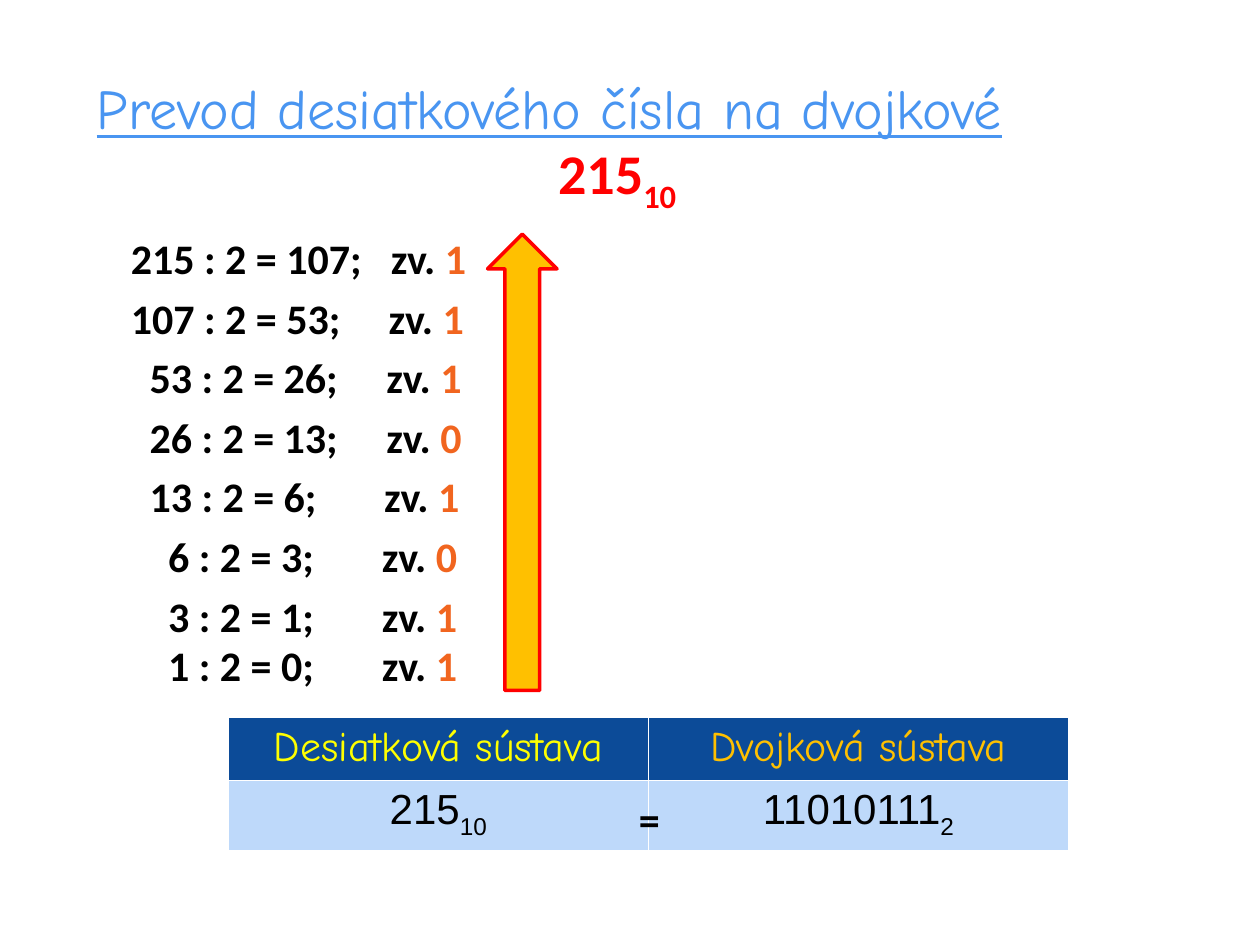
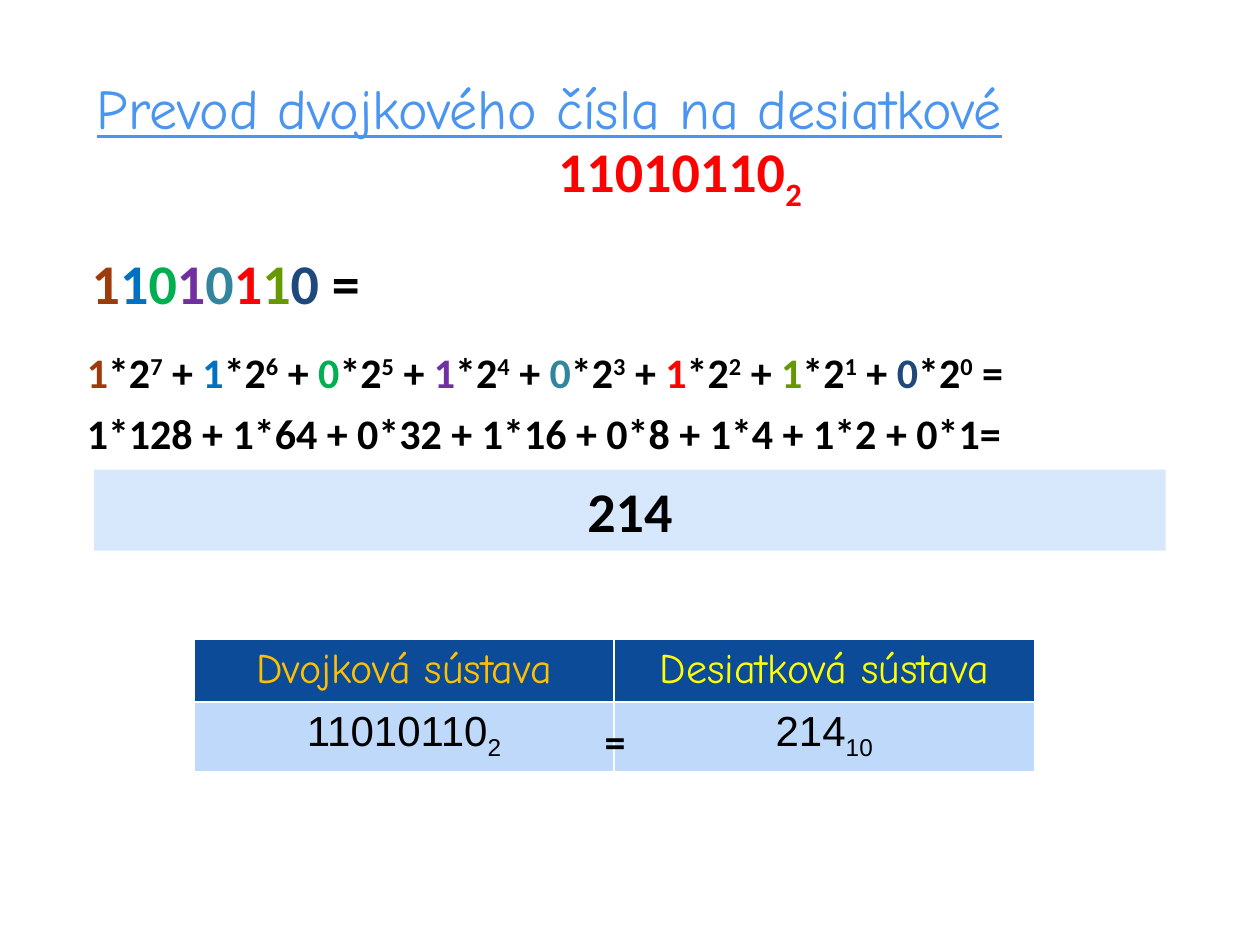
from dataclasses import dataclass

from lxml import etree
from pptx import Presentation
from pptx.dml.color import RGBColor
from pptx.enum.shapes import MSO_SHAPE
from pptx.enum.text import MSO_ANCHOR, MSO_AUTO_SIZE, PP_ALIGN
from pptx.oxml.ns import qn
from pptx.util import Cm, Pt

UP_ARROW, RECTANGLE = MSO_SHAPE.UP_ARROW, MSO_SHAPE.RECTANGLE
LEFT, CENTER = PP_ALIGN.LEFT, PP_ALIGN.CENTER
MIDDLE, GROW = MSO_ANCHOR.MIDDLE, MSO_AUTO_SIZE.SHAPE_TO_FIT_TEXT
SUB, SUPER = -25000, 30000


@dataclass(frozen=True)
class Theme:
    title_font: str = "Comic Neue"
    body_font: str = "Calibri"
    value_font: str = "Arial"
    large: int = 32
    normal: int = 24
    title: str = "4995F1"
    text: str = "000000"
    number: str = "FF0000"
    remainder: str = "F1651F"
    arrow: str = "FFC000"
    result: str = "D8E8FC"
    header: str = "0C4B98"
    cell: str = "BED9FA"
    border: str = "FFFFFF"
    decimal: str = "FFFF00"
    binary: str = "FFC000"
    bits: tuple = ("9D3B0A", "0070C0", "00B050", "7030A0",
                   "31859C", "FF0000", "669900", "1F497D")


T = Theme()
TITLE_BOX = (1.7, 1.35, 22, 1.63)
DECIMAL_HEAD = ("Desiatková sústava", T.decimal)
BINARY_HEAD = ("Dvojková sústava", T.binary)


def rgb(value):
    return RGBColor.from_string(value)


def add_run(p, text, size=T.normal, color=T.text, font=T.body_font, bold=True, base=0):
    r = p.add_run()
    r.text = text
    r.font.size = Pt(size)
    r.font.name = font
    r.font.bold = bold
    r.font.color.rgb = rgb(color)
    if base:
        r._r.get_or_add_rPr().set("baseline", str(base))
    return r


def add_text(slide, box, align=LEFT):
    tf = slide.shapes.add_textbox(*map(Cm, box)).text_frame
    tf.word_wrap = True
    tf.auto_size = GROW
    p = tf.paragraphs[0]
    p.alignment = align
    return p


def add_filled(slide, kind, box, color):
    sp = slide.shapes.add_shape(kind, *map(Cm, box))
    sp.shadow.inherit = False
    sp.fill.solid()
    sp.fill.fore_color.rgb = rgb(color)
    sp.line.fill.background()
    return sp


def add_tabs(p, stops):
    tab_list = etree.SubElement(p._p.get_or_add_pPr(), qn("a:tabLst"))
    for stop in stops:
        etree.SubElement(tab_list, qn("a:tab"), pos=str(Cm(stop)), algn="l")


def add_heading(slide, title, number_box, digits, base):
    r = add_run(add_text(slide, TITLE_BOX), title, T.large, T.title, T.title_font, False)
    r.font.underline = True
    p = add_text(slide, number_box)
    add_run(p, digits, T.large, T.number)
    add_run(p, base, T.large, T.number, base=SUB)


def add_borders(cell):
    tc_pr = cell._tc.get_or_add_tcPr()
    for index, side in enumerate(("a:lnL", "a:lnR", "a:lnT", "a:lnB")):
        ln = etree.Element(qn(side), w=str(Pt(1)))
        fill = etree.SubElement(ln, qn("a:solidFill"))
        etree.SubElement(fill, qn("a:srgbClr"), val=T.border)
        tc_pr.insert(index, ln)


def add_comparison(slide, box, heads, values):
    x, y, w, h = box
    table = slide.shapes.add_table(2, 2, *map(Cm, box)).table
    for col, ((head, color), (digits, base)) in enumerate(zip(heads, values)):
        table.columns[col].width = Cm(w / 2)
        for row, fill in enumerate((T.header, T.cell)):
            table.rows[row].height = Cm(h / 2)
            cell = table.cell(row, col)
            cell.fill.solid()
            cell.fill.fore_color.rgb = rgb(fill)
            add_borders(cell)
            p = cell.text_frame.paragraphs[0]
            p.alignment = CENTER
            if row == 0:
                add_run(p, head, color=color, font=T.title_font, bold=False)
            else:
                add_run(p, digits, font=T.value_font, bold=False)
                add_run(p, base, font=T.value_font, bold=False, base=SUB)
    add_run(add_text(slide, (x + w / 2 - 0.88, y + 1.41, 1.8, 1.27), CENTER), "=")


def add_divisions(slide, box, number):
    x, y, w, h = box
    step = 0
    while number:
        quotient, remainder = divmod(number, 2)
        indent = 0.375 * (3 - len(str(number)))
        missing = 6 - len(str(number)) - len(str(quotient))
        lift = 0 if quotient else 0.2
        p = add_text(slide, (x, y + 1.2 * step - lift, w, h))
        add_tabs(p, ([indent] if indent else []) + [5.24 - 0.045 * missing])
        lead = "\t" if indent else ""
        add_run(p, f"{lead}{number} : 2 = {quotient};\tzv. ")
        add_run(p, str(remainder), color=T.remainder)
        number = quotient
        step += 1


def add_expansion(slide, box, digits):
    x, y, w, h = box
    p = add_text(slide, (x + 0.1, y, 9.2, 1.63))
    for digit, color in zip(digits, T.bits):
        add_run(p, digit, T.large, color)
    add_run(p, " =", T.large)

    powers = range(len(digits) - 1, -1, -1)
    p = add_text(slide, (x, y + 1.98, w, h))
    for digit, color, power in zip(digits, T.bits, powers):
        add_run(p, digit, color=color)
        add_run(p, "*2")
        add_run(p, str(power), base=SUPER)
        add_run(p, " + " if power else " =")

    products = " + ".join(f"{d}*{2 ** n}" for d, n in zip(digits, powers))
    add_run(add_text(slide, (x, y + 3.22, w, h)), products + "=")


def add_result(slide, box, value):
    tf = add_filled(slide, RECTANGLE, box, T.result).text_frame
    tf.vertical_anchor = MIDDLE
    p = tf.paragraphs[0]
    p.alignment = CENTER
    add_run(p, value, T.large)


def decimal_to_binary(slide, number):
    value = str(number)
    add_heading(slide, "Prevod desiatkového čísla na dvojkové",
                (11, 2.67, 4.04, 1.63), value, "10")
    add_divisions(slide, (2.39, 4.57, 19, 1.27), number)
    add_comparison(slide, (4.6, 14.46, 16.94, 2.08), (DECIMAL_HEAD, BINARY_HEAD),
                   ((value, "10"), (f"{number:b}", "2")))
    arrow = add_filled(slide, UP_ARROW, (9.83, 4.72, 1.4, 9.2), T.arrow)
    arrow.line.color.rgb = rgb(T.number)
    arrow.line.width = Pt(2)


def binary_to_decimal(slide, digits):
    value = str(int(digits, 2))
    add_heading(slide, "Prevod dvojkového čísla na desiatkové",
                (11, 2.62, 9.2, 1.63), digits, "2")
    add_expansion(slide, (1.5, 4.88, 21.8, 1.27), digits)
    add_result(slide, (1.9, 9.47, 21.6, 1.63), value)
    add_comparison(slide, (3.91, 12.88, 16.94, 2.08), (BINARY_HEAD, DECIMAL_HEAD),
                   ((digits, "2"), (value, "10")))


def main():
    prs = Presentation()
    prs.slide_width, prs.slide_height = Cm(25.4), Cm(19.05)
    blank = prs.slide_layouts[6]
    decimal_to_binary(prs.slides.add_slide(blank), 215)
    binary_to_decimal(prs.slides.add_slide(blank), "11010110")
    prs.save("out.pptx")


if __name__ == "__main__":
    main()
